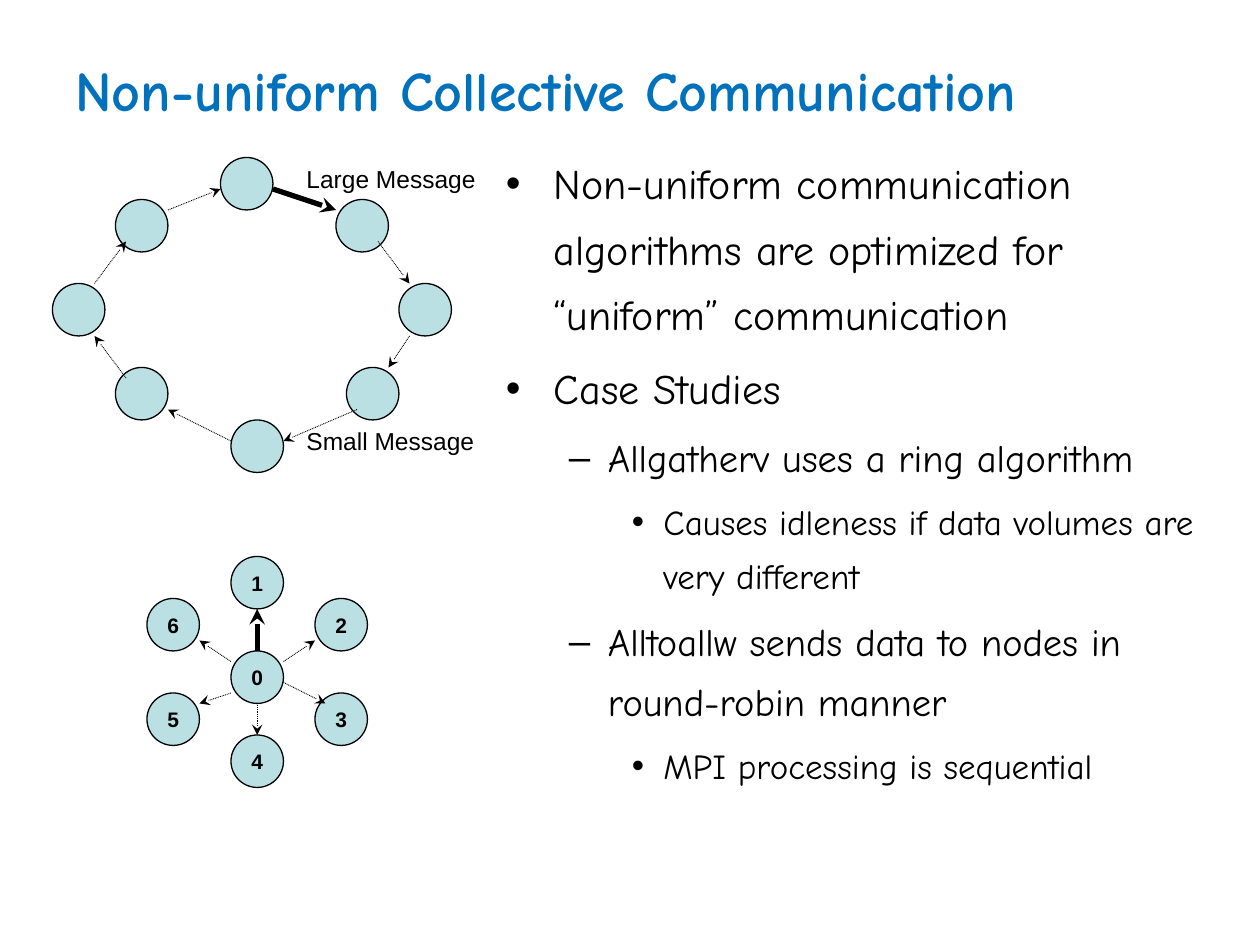
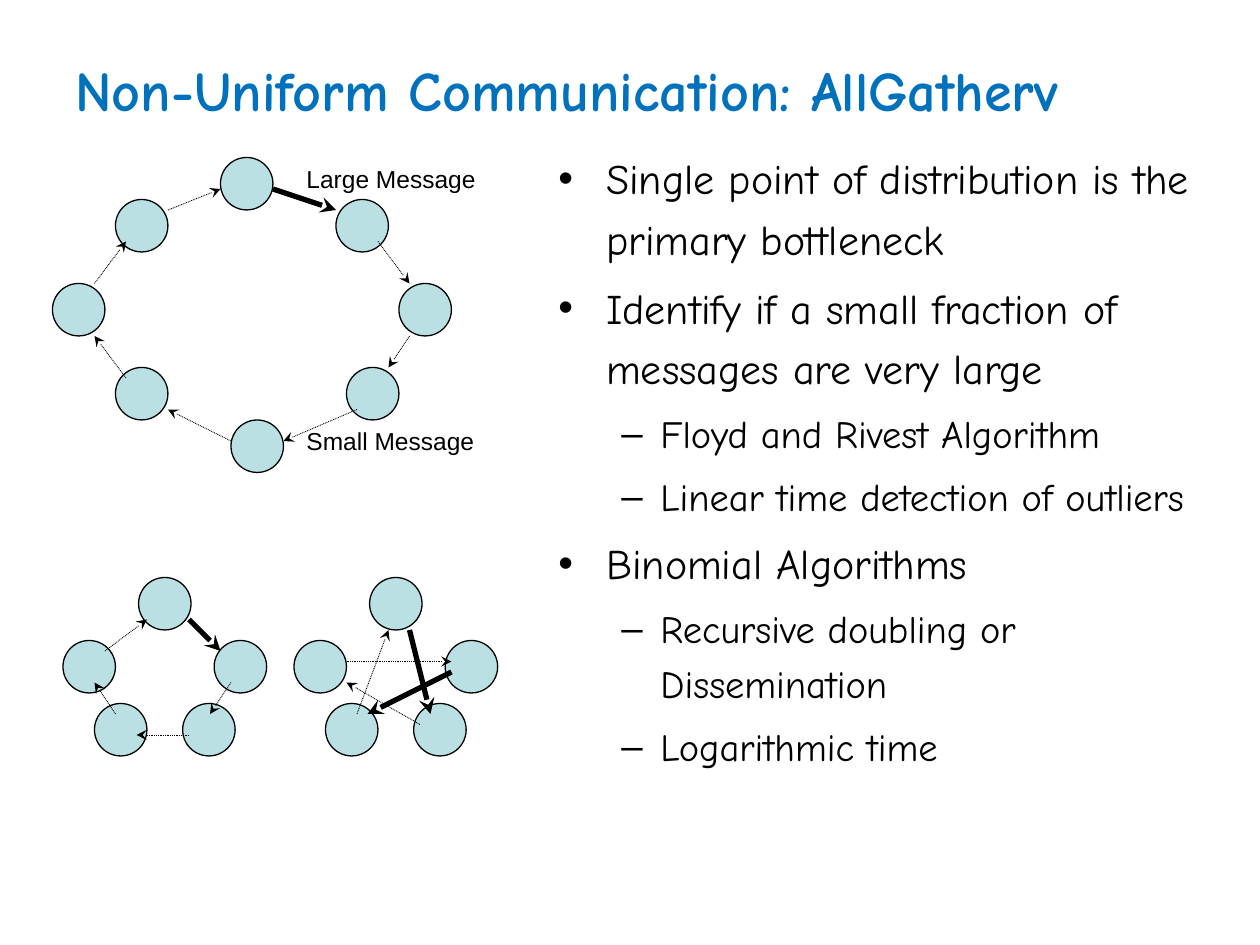
"""Build two slides on non-uniform collective communication."""
from dataclasses import dataclass

from lxml.etree import SubElement
from pptx import Presentation
from pptx.dml.color import RGBColor
from pptx.enum.dml import MSO_LINE
from pptx.enum.shapes import MSO_CONNECTOR, MSO_SHAPE
from pptx.enum.text import MSO_ANCHOR, PP_ALIGN
from pptx.oxml.ns import qn
from pptx.slide import Slide
from pptx.text.text import TextFrame
from pptx.util import Inches, Length, Pt

BLUE, TEAL, BLACK = "0071BC", "BBE0E3", "000000"
HEAD, LABEL = "Comic Neue", "Arial"
CELLS = 12
SIZE = 5


@dataclass(frozen=True)
class Level:
    """Format of one outline level, with lengths in inches."""
    mark: str
    size: int
    left: float
    hang: float


@dataclass(frozen=True)
class Node:
    """Circle placed by its left column and top row."""
    col: float
    row: float
    text: str = ""


@dataclass(frozen=True)
class Arrow:
    """Arrow from one grid point to another; bold for a large message."""
    x: float
    y: float
    to_x: float
    to_y: float
    bold: bool = False


@dataclass(frozen=True)
class Graph:
    """Circles and the arrows among them."""
    nodes: list[Node]
    arrows: list[Arrow]


@dataclass(frozen=True)
class Page:
    """Title, outline and graphs of one slide."""
    title: str
    col: int
    pitch: float
    points: list[tuple[int, str]]
    graphs: list[Graph]


LEVELS = [Level("•", 24, 0.38, 0.38), Level("–", 22, 0.81, 0.31), Level("•", 20, 1.25, 0.25)]

RING = Graph(
    [Node(21, 15), Node(32, 19), Node(38, 27), Node(33, 35),
     Node(22, 40), Node(11, 35), Node(5, 27), Node(11, 19)],
    [Arrow(26, 18, 32, 20, True), Arrow(36, 23, 39, 27), Arrow(39, 32, 37, 35),
     Arrow(34, 39, 27, 42), Arrow(22, 42, 16, 39), Arrow(12, 36, 9, 32),
     Arrow(9, 27, 12, 23), Arrow(16, 20, 21, 18)])

STAR = Graph(
    [Node(22, 62, "0"), Node(22, 53, "1"), Node(30, 57, "2"), Node(30, 66, "3"),
     Node(22, 70, "4"), Node(14, 66, "5"), Node(14, 57, "6")],
    [Arrow(27, 63, 30, 61), Arrow(27, 65, 31, 67), Arrow(24.5, 67, 24.5, 70),
     Arrow(22, 66, 19, 67), Arrow(24.5, 62, 24.5, 58, True), Arrow(22, 63, 19, 61)])


def five(shift: int) -> list[Node]:
    """Return five circles, moved right by some columns."""
    spots = [(13.2, 55), (6, 61), (9, 67), (17.4, 67), (20.4, 61)]
    return [Node(col + shift, row) for col, row in spots]


LOOP = Graph(five(0), [
    Arrow(18, 59, 21, 62, True), Arrow(22, 65, 20, 68), Arrow(18, 70, 13, 70),
    Arrow(11, 68, 9, 65), Arrow(10, 62, 14, 59)])

CROSS = Graph(five(22), [
    Arrow(39, 60, 41, 68, True), Arrow(40, 69, 33, 65), Arrow(34, 68, 37, 60),
    Arrow(33, 63, 43, 63), Arrow(43, 64, 35, 68, True)])

PAGES = [
    Page("Non-uniform Collective Communication", 47, 1.3, [
        (0, "Non-uniform communication algorithms are optimized for “uniform” communication"),
        (0, "Case Studies"),
        (1, "Allgatherv uses a ring algorithm"),
        (2, "Causes idleness if data volumes are very different"),
        (1, "Alltoallw sends data to nodes in round-robin manner"),
        (2, "MPI processing is sequential"),
    ], [STAR]),
    Page("Non-Uniform Communication: AllGatherv", 52, 1.2, [
        (0, "Single point of distribution is the primary bottleneck"),
        (0, "Identify if a small fraction of messages are very large"),
        (1, "Floyd and Rivest Algorithm"),
        (1, "Linear time detection of outliers"),
        (0, "Binomial Algorithms"),
        (1, "Recursive doubling or Dissemination"),
        (1, "Logarithmic time"),
    ], [LOOP, CROSS]),
]


def grid(*cells: float) -> list[Length]:
    """Turn grid cells into lengths."""
    return [Inches(cell / CELLS) for cell in cells]


def paint(code: str) -> RGBColor:
    """Turn a hex string into a colour."""
    return RGBColor.from_string(code)


def write(frame: TextFrame, text: str, *, size: int, font: str = LABEL,
          color: str = BLACK, bold: bool = False, align: PP_ALIGN = PP_ALIGN.LEFT,
          level: int | None = None, pitch: float = 1.0) -> None:
    """Add a paragraph, filling the first one if it is still empty."""
    first = not frame.text
    para = frame.paragraphs[0] if first else frame.add_paragraph()
    para.alignment = align
    para.line_spacing = pitch
    if not first:
        para.space_before = Pt(size * 0.2)
    if level is not None:
        look = LEVELS[level]
        para.level = level
        props = para._p.get_or_add_pPr()
        props.set("marL", str(Inches(look.left)))
        props.set("indent", str(-Inches(look.hang)))
        SubElement(props, qn("a:buFont"), typeface=LABEL)
        SubElement(props, qn("a:buChar"), char=look.mark)
    run = para.add_run()
    run.text = text
    run.font.name, run.font.size, run.font.bold = font, Pt(size), bold
    run.font.color.rgb = paint(color)


def panel(slide: Slide, *cells: float, anchor: MSO_ANCHOR = MSO_ANCHOR.TOP) -> TextFrame:
    """Add a wrapping text box on the grid."""
    frame = slide.shapes.add_textbox(*grid(*cells)).text_frame
    frame.word_wrap = True
    frame.vertical_anchor = anchor
    return frame


def draw_node(slide: Slide, node: Node) -> None:
    """Draw a circle with its number, if any."""
    disc = slide.shapes.add_shape(MSO_SHAPE.OVAL, *grid(node.col, node.row, SIZE, SIZE))
    disc.shadow.inherit = False
    disc.fill.solid()
    disc.fill.fore_color.rgb = paint(TEAL)
    disc.line.color.rgb = paint(BLACK)
    disc.line.width = Pt(0.75)
    if node.text:
        disc.text_frame.word_wrap = False
        disc.text_frame.vertical_anchor = MSO_ANCHOR.MIDDLE
        write(disc.text_frame, node.text, size=12, bold=True, align=PP_ALIGN.CENTER)


def draw_arrow(slide: Slide, arrow: Arrow) -> None:
    """Draw a thick solid or a thin dotted arrow."""
    ends = grid(arrow.x, arrow.y, arrow.to_x, arrow.to_y)
    link = slide.shapes.add_connector(MSO_CONNECTOR.STRAIGHT, *ends)
    link.line.color.rgb = paint(BLACK)
    link.line.width = Pt(3 if arrow.bold else 0.5)
    if not arrow.bold:
        link.line.dash_style = MSO_LINE.ROUND_DOT
    props = link.element.spPr
    SubElement(props.find(qn("a:ln")), qn("a:tailEnd"), type="stealth")
    SubElement(props, qn("a:effectLst"))


def draw_graph(slide: Slide, graph: Graph) -> None:
    """Draw the circles, then the arrows above them."""
    for node in graph.nodes:
        draw_node(slide, node)
    for arrow in graph.arrows:
        draw_arrow(slide, arrow)


def draw_page(slide: Slide, page: Page) -> None:
    """Draw the title, outline, ring and other graphs of a page."""
    title = panel(slide, 6, 2, 108, 13, anchor=MSO_ANCHOR.MIDDLE)
    write(title, page.title, size=32, font=HEAD, color=BLUE, bold=True)
    body = panel(slide, page.col, 13, 117 - page.col, 67.5)
    for level, text in page.points:
        write(body, text, size=LEVELS[level].size, font=HEAD, level=level, pitch=page.pitch)
    draw_graph(slide, RING)
    for row, text in ((15, "Large Message"), (40, "Small Message")):
        write(panel(slide, 28, row, 21, 4), text, size=14)
    for graph in page.graphs:
        draw_graph(slide, graph)


def main() -> None:
    """Build and save the deck."""
    deck = Presentation()
    deck.slide_width, deck.slide_height = Inches(10), Inches(7.5)
    for page in PAGES:
        draw_page(deck.slides.add_slide(deck.slide_layouts[6]), page)
    deck.save("out.pptx")


if __name__ == "__main__":
    main()
